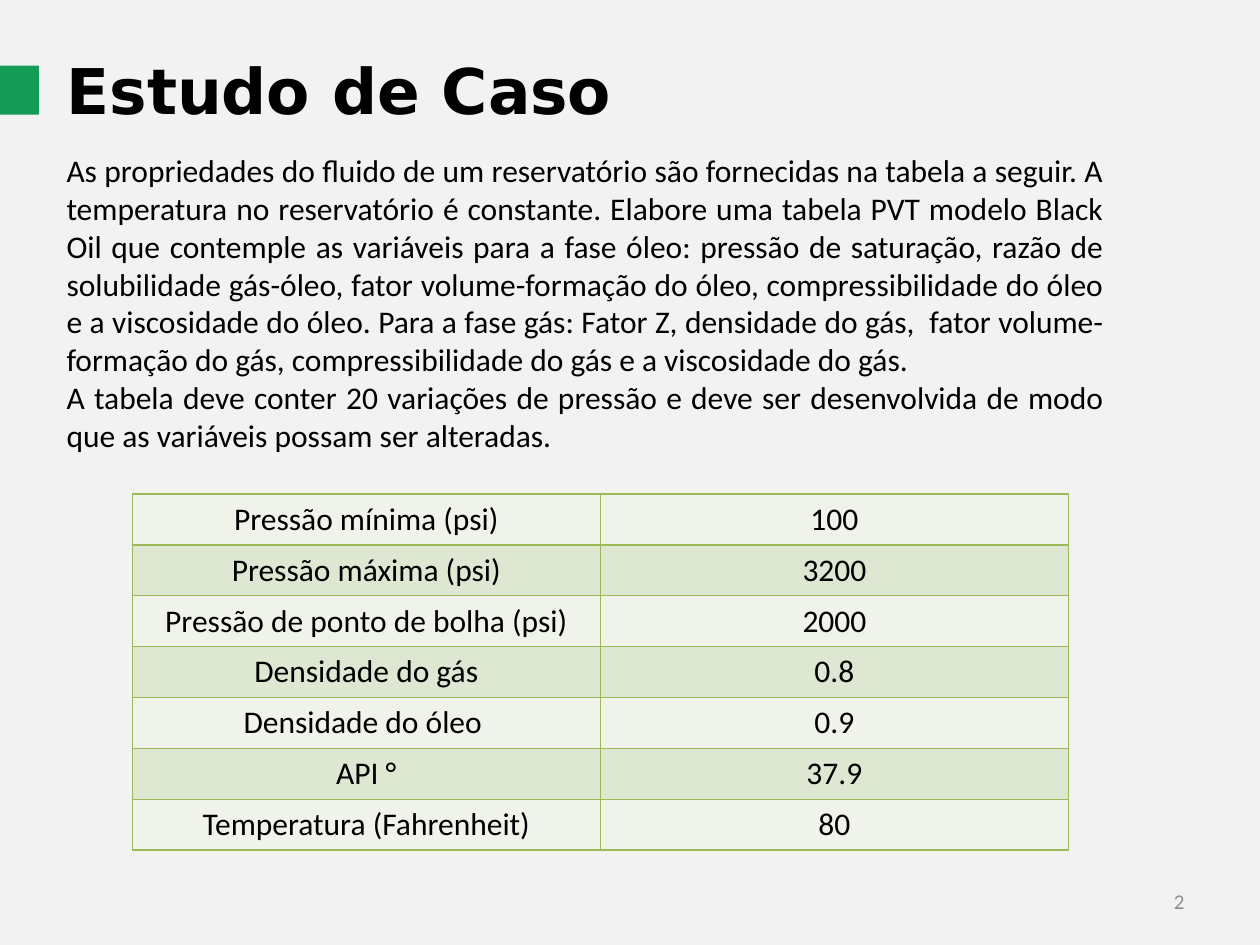
from dataclasses import dataclass

from lxml import etree
from pptx import Presentation
from pptx.dml.color import RGBColor
from pptx.enum import shapes, text
from pptx.oxml import ns
from pptx.util import Inches, Pt

COLORS = {
    "background": "F2F2F2",
    "accent": "149B55",
    "ink": "000000",
    "page": "8C8C8C",
    "border": "9BBB59",
    "light": "EFF3EA",
    "dark": "DEE7D1",
}
BODY_FONT = "Calibri"
ALIGN = text.PP_ALIGN


@dataclass
class TextBlock:
    left: float
    top: float
    width: float
    height: float
    paragraphs: list[str]
    size: int
    font: str = BODY_FONT
    color: str = "ink"
    bold: bool = False
    align: ALIGN = ALIGN.LEFT
    anchor: text.MSO_ANCHOR = text.MSO_ANCHOR.TOP
    fit: text.MSO_AUTO_SIZE = text.MSO_AUTO_SIZE.SHAPE_TO_FIT_TEXT


@dataclass
class Property:
    label: str
    value: str


BLOCKS = [
    TextBlock(0.43, 0.36, 8.66, 0.71, ["Estudo de Caso"], 36, "DejaVu Sans", bold=True),
    TextBlock(7.17, 6.95, 2.33, 0.4, ["2"], 12, color="page", align=ALIGN.RIGHT,
              anchor=text.MSO_ANCHOR.MIDDLE, fit=text.MSO_AUTO_SIZE.NONE),
    TextBlock(0.43, 1.15, 8.43, 2.52, [
        "As propriedades do fluido de um reservatório são fornecidas na tabela a seguir. "
        "A temperatura no reservatório é constante. Elabore uma tabela PVT modelo Black Oil "
        "que contemple as variáveis para a fase óleo: pressão de saturação, razão de "
        "solubilidade gás-óleo, fator volume-formação do óleo, compressibilidade do óleo "
        "e a viscosidade do óleo. Para a fase gás: Fator Z, densidade do gás,  fator "
        "volume-formação do gás, compressibilidade do gás e a viscosidade do gás.",
        "A tabela deve conter 20 variações de pressão e deve ser desenvolvida de modo "
        "que as variáveis possam ser alteradas.",
    ], 18, align=ALIGN.JUSTIFY),
]

PROPERTIES = [
    Property("Pressão mínima (psi)", "100"),
    Property("Pressão máxima (psi)", "3200"),
    Property("Pressão de ponto de bolha (psi)", "2000"),
    Property("Densidade do gás", "0.8"),
    Property("Densidade do óleo ", "0.9"),
    Property("API °", "37.9"),
    Property("Temperatura (Fahrenheit)", "80"),
]


def rgb(name: str) -> RGBColor:
    return RGBColor.from_string(COLORS[name])


def add_run(paragraph, words: str, size: int, font: str = BODY_FONT,
            color: str = "ink", bold: bool = False) -> None:
    run = paragraph.add_run()
    run.text = words
    run.font.size = Pt(size)
    run.font.name = font
    run.font.bold = bold
    run.font.color.rgb = rgb(color)


def add_block(slide, block: TextBlock) -> None:
    box = slide.shapes.add_textbox(Inches(block.left), Inches(block.top),
                                   Inches(block.width), Inches(block.height))
    frame = box.text_frame
    frame.word_wrap = True
    frame.auto_size = block.fit
    frame.vertical_anchor = block.anchor
    for index, words in enumerate(block.paragraphs):
        paragraph = frame.add_paragraph() if index else frame.paragraphs[0]
        paragraph.alignment = block.align
        add_run(paragraph, words, block.size, block.font, block.color, block.bold)


def add_borders(cell) -> None:
    properties = cell._tc.get_or_add_tcPr()
    for position, side in enumerate(("lnL", "lnR", "lnT", "lnB")):
        line = etree.Element(ns.qn(f"a:{side}"), w=str(Pt(1)))
        fill = etree.SubElement(line, ns.qn("a:solidFill"))
        etree.SubElement(fill, ns.qn("a:srgbClr"), val=COLORS["border"])
        properties.insert(position, line)


def add_properties(slide, properties: list[Property]) -> None:
    table = slide.shapes.add_table(len(properties), 2, Inches(1.05), Inches(3.92),
                                   Inches(7.43), Inches(2.83)).table
    table.first_row = False
    for row, item in enumerate(properties):
        for column, words in enumerate((item.label, item.value)):
            cell = table.cell(row, column)
            cell.fill.solid()
            cell.fill.fore_color.rgb = rgb("dark" if row % 2 else "light")
            add_borders(cell)
            paragraph = cell.text_frame.paragraphs[0]
            paragraph.alignment = ALIGN.CENTER
            add_run(paragraph, words, 18)


presentation = Presentation()
presentation.slide_width = Inches(10)
presentation.slide_height = Inches(7.5)
slide = presentation.slides.add_slide(presentation.slide_layouts[6])
slide.background.fill.solid()
slide.background.fill.fore_color.rgb = rgb("background")

# Green marker beside the title
marker = slide.shapes.add_shape(shapes.MSO_SHAPE.RECTANGLE, Inches(-0.04), Inches(0.52),
                                Inches(0.35), Inches(0.39))
marker.shadow.inherit = False
marker.fill.solid()
marker.fill.fore_color.rgb = rgb("accent")
marker.line.fill.background()

# Title, page number and problem statement
for block in BLOCKS:
    add_block(slide, block)

# Fluid properties
add_properties(slide, PROPERTIES)

presentation.save("out.pptx")
